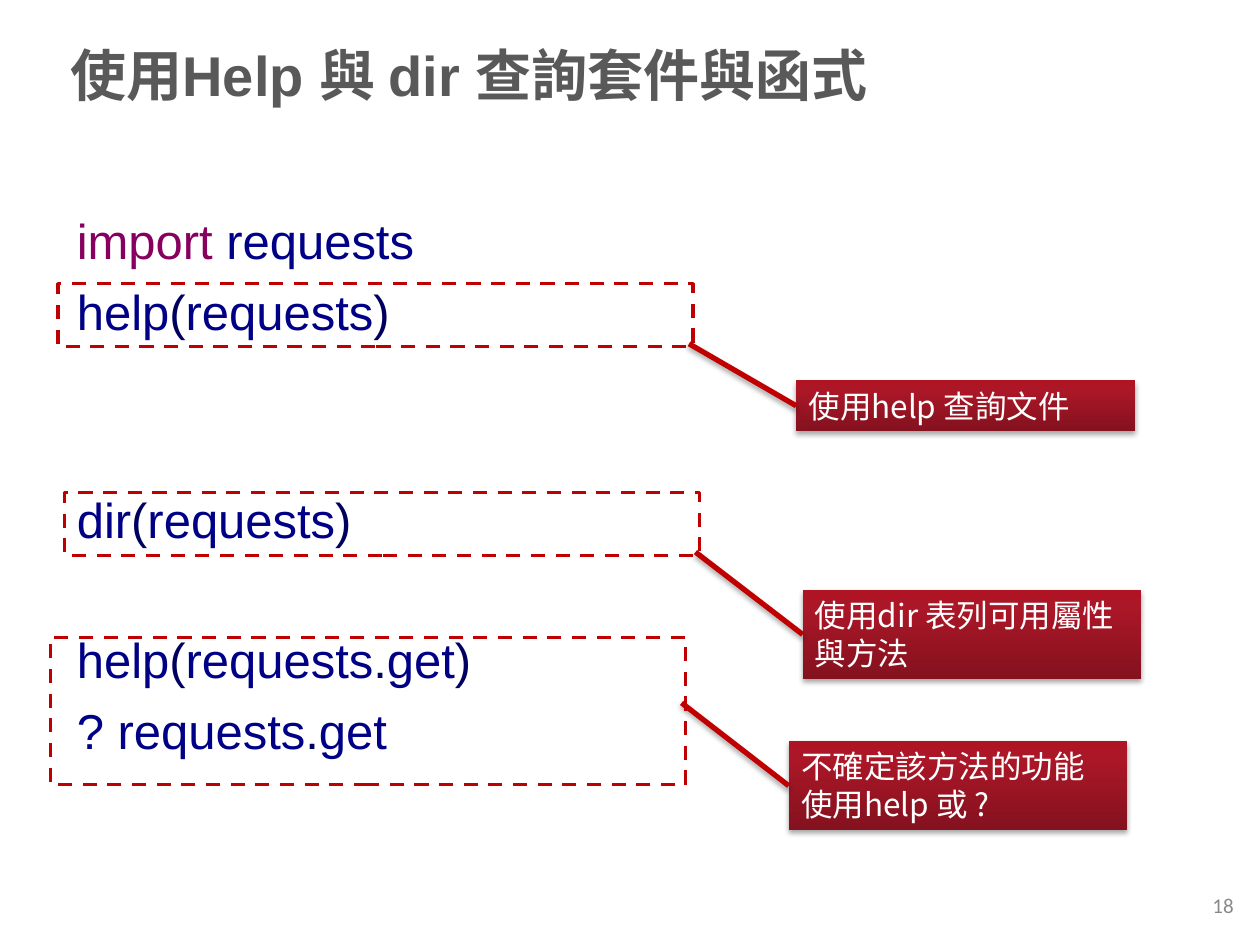
import pptx
import pptx.util
import pptx.oxml
import pptx.oxml.ns
from pptx.dml.color import RGBColor
from pptx.enum.dml import MSO_LINE
from pptx.enum.shapes import MSO_CONNECTOR, MSO_SHAPE
from pptx.enum.text import MSO_ANCHOR, PP_ALIGN

Cm, Pt = pptx.util.Cm, pptx.util.Pt

COLORS = {
    "title": "595959", "keyword": "87005F", "name": "000087", "symbol": "00005F",
    "accent": "C00000", "white": "FFFFFF", "number": "898989",
}
CALLOUT_STOPS = [(0, "84111E"), (80, "AB1727"), (100, "AF1425")]
CJK_FONT = "Noto Sans CJK SC"

TITLE = "使用Help 與 dir 查詢套件與函式"
PAGE_NUMBER = "18"
# Each code line: blank lines above it, then (text, colour) pieces
CODE = [
    (0, [("import", "keyword"), (" requests", "name")]),
    (0, [("help", "name"), ("(", "symbol"), ("requests", "name"), (")", "symbol")]),
    (2, [("dir", "name"), ("(", "symbol"), ("requests", "name"), (")", "symbol")]),
    (1, [("help", "name"), ("(", "symbol"), ("requests", "name"), (".", "symbol"),
         ("get", "name"), (")", "symbol")]),
    (0, [("? ", "name"), ("requests", "name"), (".", "symbol"), ("get", "name")]),
]
LINE_GAP, LINE_PITCH = 7, 39.2  # points

# Frame (left, top, height), line start height, callout (top, height, lines); in cm
NOTES = [
    ((1.17, 5.72, 1.27), 6.93, (7.67, 1.02, ["使用help 查詢文件"])),
    ((1.3, 9.93, 1.27), 11.13, (11.89, 1.8, ["使用dir 表列可用屬性與方法"])),
    ((1.02, 12.85, 2.97), 14.17, (14.94, 1.8, ["不確定該方法的功能", "使用help 或 ?"])),
]
FRAME_WIDTH, CALLOUT_WIDTH = 12.8, 6.83
CALLOUT_OFFSET = 14.88  # from the frame's left to the callout's left
LINE_INSET = 0.08       # the line starts just inside the frame's right side


def rgb(name):
    return RGBColor.from_string(COLORS[name])


def style(font, size, color, name, bold=False):
    font.size, font.name, font.bold = Pt(size), name, bold
    font.color.rgb = rgb(color)


def add_text(slide, box, anchor=MSO_ANCHOR.TOP):
    frame = slide.shapes.add_textbox(*map(Cm, box)).text_frame
    frame.word_wrap = True
    frame.vertical_anchor = anchor
    return frame


def drawing_xml(tag, body):
    return pptx.oxml.parse_xml(f"<a:{tag} {pptx.oxml.ns.nsdecls('a')}>{body}</a:{tag}>")


def add_shadow(shape):
    shape._element.spPr.append(drawing_xml(
        "effectLst",
        '<a:outerShdw blurRad="40000" dist="23000" dir="5400000" rotWithShape="0">'
        '<a:srgbClr val="000000"><a:alpha val="35000"/></a:srgbClr></a:outerShdw>'))


def fill_gradient(shape):
    stops = "".join(f'<a:gs pos="{position * 1000}"><a:srgbClr val="{color}"/></a:gs>'
                    for position, color in CALLOUT_STOPS)
    shape._element.spPr.insert(2, drawing_xml(
        "gradFill", f'<a:gsLst>{stops}</a:gsLst><a:lin ang="16200000" scaled="0"/>'))


def add_callout(slide, left, top, height, lines):
    callout = slide.shapes.add_shape(
        MSO_SHAPE.RECTANGLE, Cm(left), Cm(top), Cm(CALLOUT_WIDTH), Cm(height))
    fill_gradient(callout)
    callout.line.fill.background()
    add_shadow(callout)
    frame = callout.text_frame
    frame.word_wrap = True
    frame.vertical_anchor = MSO_ANCHOR.TOP
    frame.text = "\n".join(lines)
    for paragraph in frame.paragraphs:
        paragraph.alignment = PP_ALIGN.LEFT
        style(paragraph.font, 18, "white", CJK_FONT)
    return callout


def add_pointer(slide, left, top, callout):
    pointer = slide.shapes.add_connector(
        MSO_CONNECTOR.STRAIGHT, Cm(left), Cm(top), callout.left, callout.top)
    pointer.end_connect(callout, 1)
    pointer.line.color.rgb = rgb("accent")
    pointer.line.width = Pt(3)
    add_shadow(pointer)


def add_frame(slide, left, top, height):
    frame = slide.shapes.add_shape(
        MSO_SHAPE.RECTANGLE, Cm(left), Cm(top), Cm(FRAME_WIDTH), Cm(height))
    frame.fill.background()
    frame.line.color.rgb = rgb("accent")
    frame.line.width = Pt(2)
    frame.line.dash_style = MSO_LINE.DASH
    frame.shadow.inherit = False


def add_code(slide):
    frame = add_text(slide, (1.3, 4.11, 22.86, 12.9))
    for index, (blank_lines, pieces) in enumerate(CODE):
        paragraph = frame.paragraphs[0] if index == 0 else frame.add_paragraph()
        paragraph.space_before = Pt(LINE_GAP + blank_lines * LINE_PITCH)
        for text, color in pieces:
            run = paragraph.add_run()
            run.text = text
            style(run.font, 28, color, "Arial")


def main():
    presentation = pptx.Presentation()
    presentation.slide_width, presentation.slide_height = Cm(25.4), Cm(19.05)
    slide = presentation.slides.add_slide(presentation.slide_layouts[6])

    add_code(slide)
    title = add_text(slide, (1.17, 0.71, 22.86, 1.55), MSO_ANCHOR.MIDDLE).paragraphs[0]
    title.text = TITLE
    style(title.font, 32, "title", "Arial", bold=True)

    for (left, top, height), start, callout_parts in NOTES:
        callout = add_callout(slide, left + CALLOUT_OFFSET, *callout_parts)
        add_pointer(slide, left + FRAME_WIDTH - LINE_INSET, start, callout)
        add_frame(slide, left, top, height)

    number = add_text(slide, (19.2, 17.73, 5.92, 1.02), MSO_ANCHOR.MIDDLE).paragraphs[0]
    number.text = PAGE_NUMBER
    number.alignment = PP_ALIGN.RIGHT
    style(number.font, 12, "number", "Calibri")

    presentation.save("out.pptx")


if __name__ == "__main__":
    main()
